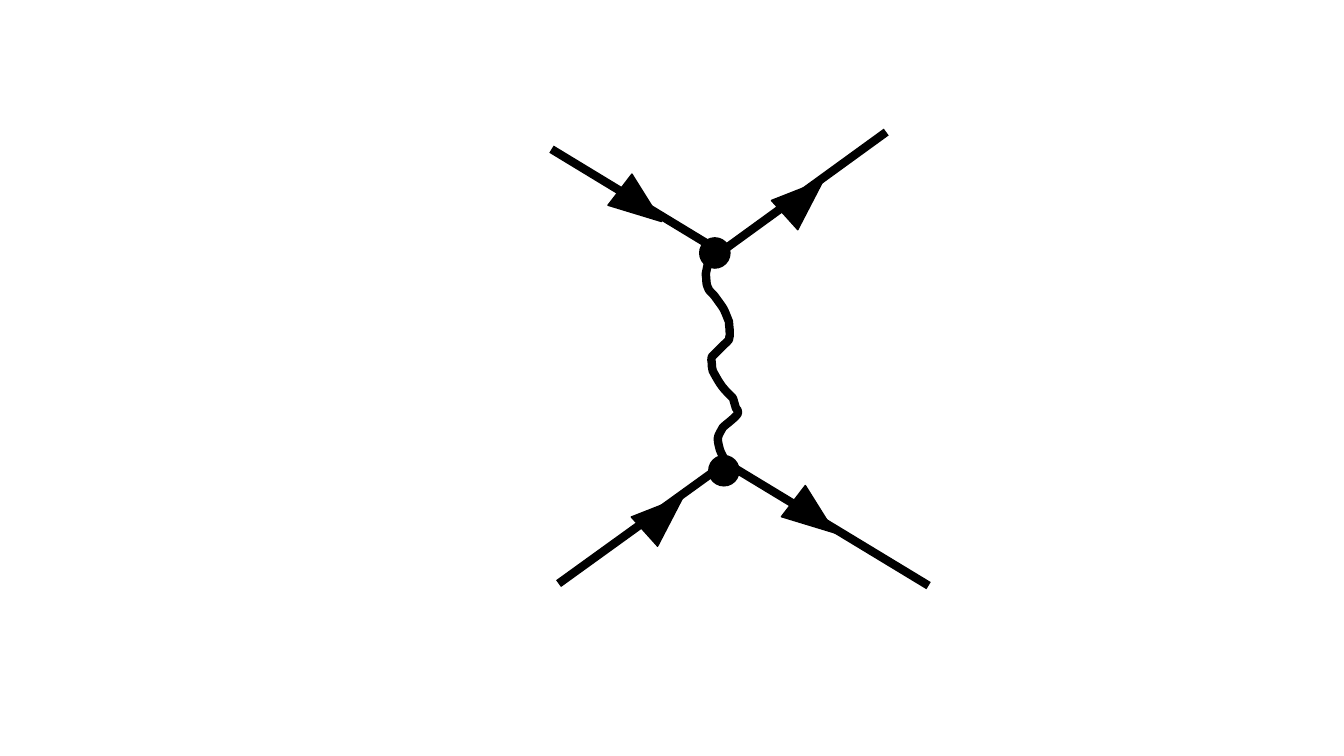
from lxml import etree
from pptx import Presentation
from pptx import util as u
from pptx.dml.color import RGBColor
from pptx.enum import shapes
from pptx.oxml.ns import qn

PX = 9144
INK = "000000"
WAVE_START = (172, 119)
WAVE = [
    (-4, 1), (-9, 1), (-13, 4), (-17, 8), (-18, 18), (-19, 22),
    (-18, 27), (-19, 31), (-17, 35), (-16, 39), (-12, 41), (-10, 44),
    (0, 58), (-2, 54), (4, 69), (4, 73), (6, 82), (4, 87),
    (3, 89), (1, 90), (-1, 92), (-5, 96), (-13, 104), (-13, 104),
    (-13, 106), (-14, 108), (-13, 110), (-13, 112), (-13, 115), (-12, 118),
    (-4, 133), (-2, 135), (8, 145), (9, 148), (10, 152), (11, 155),
    (12, 156), (14, 158), (13, 160), (11, 164), (1, 171), (-2, 174),
    (-3, 176), (-7, 182), (-7, 185), (-7, 189), (-6, 192), (-5, 196),
    (-4, 199), (-1, 205), (1, 208),
]
FERMIONS = [
    (0, 17, 168, 119), (168, 119, 332, 0),
    (7, 448, 176, 326), (171, 327, 374, 450),
]
VERTICES = [(147, 105), (156, 321)]
ARROWS = [(231, 39, 48), (92, 353, 48), (69, 47, 127.5), (241, 356, 127.5)]


def px(n):
    return u.Emu(n * PX)


def color(value):
    return RGBColor.from_string(value)


def set_line(sp, width):
    sp.line.color.rgb = color(INK)
    sp.line.width = u.Pt(width)


def add_wave(s, left, top):
    builder = s.shapes.build_freeform(0, 0, scale=PX)
    builder.add_line_segments(WAVE, close=False)
    sp = builder.convert_to_shape(px(left), px(top))
    segments = sp._element.xpath(".//a:lnTo")
    for i in range(0, len(segments), 3):
        curve = etree.Element(qn("a:cubicBezTo"))
        segments[i].addprevious(curve)
        for segment in segments[i:i + 3]:
            curve.append(segment[0])
            segment.getparent().remove(segment)
    sp.fill.background()
    set_line(sp, 6)
    sp.shadow.inherit = False


def add_fermion(s, x1, y1, x2, y2):
    line = s.shapes.add_connector(
        shapes.MSO_CONNECTOR.STRAIGHT, px(x1), px(y1), px(x2), px(y2))
    set_line(line, 6)
    etree.SubElement(line._element.spPr, qn("a:effectLst"))


def add_solid(s, kind, left, top, width, height, rotation=0):
    sp = s.shapes.add_shape(kind, px(left), px(top), px(width), px(height))
    sp.rotation = rotation
    sp.fill.solid()
    sp.fill.fore_color.rgb = color(INK)
    set_line(sp, 1)
    sp.shadow.inherit = False


def add_diagram(s, left, top):
    add_wave(s, left + WAVE_START[0], top + WAVE_START[1])
    for x1, y1, x2, y2 in FERMIONS:
        add_fermion(s, left + x1, top + y1, left + x2, top + y2)
    for x, y in VERTICES:
        add_solid(s, shapes.MSO_SHAPE.OVAL, left + x, top + y, 30, 30)
    for x, y, angle in ARROWS:
        add_solid(s, shapes.MSO_SHAPE.ISOSCELES_TRIANGLE,
                  left + x, top + y, 39, 52, angle)


def main():
    prs = Presentation()
    prs.slide_width, prs.slide_height = px(1333), px(750)
    s = prs.slides.add_slide(prs.slide_layouts[6])
    add_diagram(s, 547, 131)
    prs.save("out.pptx")


if __name__ == "__main__":
    main()
